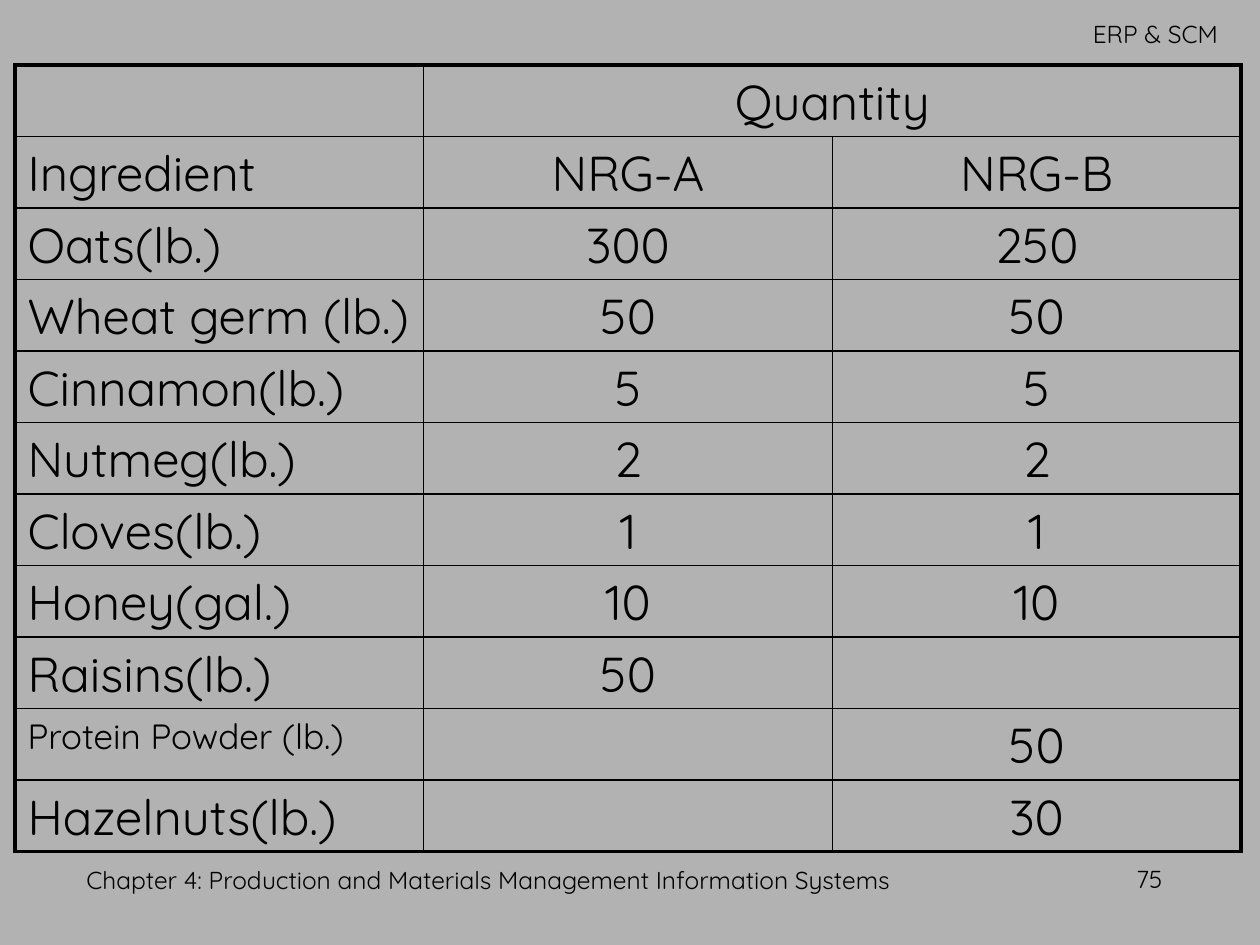
from pptx import Presentation
from pptx.dml.color import RGBColor
from pptx.enum.text import PP_ALIGN as Align
from pptx.oxml.ns import qn
from pptx.util import Pt
from lxml.etree import SubElement

PX = 914400 / 126
FONT = "Quicksand"
INK = "000000"
BACK = "B2B2B2"
THIN, THICK = 1, 2.25

ROWS = [
    ("", "Quantity", ""),
    ("Ingredient", "NRG-A", "NRG-B"),
    ("Oats(lb.)", "300", "250"),
    ("Wheat germ (lb.)", "50", "50"),
    ("Cinnamon(lb.)", "5", "5"),
    ("Nutmeg(lb.)", "2", "2"),
    ("Cloves(lb.)", "1", "1"),
    ("Honey(gal.)", "10", "10"),
    ("Raisins(lb.)", "50", ""),
    ("Protein Powder (lb.)", "", "50"),
    ("Hazelnuts(lb.)", "", "30"),
]
SMALL_ROW = "Protein Powder (lb.)"


def px(*sizes):
    return [round(size * PX) for size in sizes]


def color(code):
    return RGBColor.from_string(code)


def write(frame, text, size, align):
    frame.text = text
    para = frame.paragraphs[0]
    para.alignment = align
    for run in para.runs:
        run.font.name = FONT
        run.font.size = Pt(size)
        run.font.color.rgb = color(INK)


def add_label(slide, box, text, align=Align.LEFT, wrap=False):
    frame = slide.shapes.add_textbox(*px(*box)).text_frame
    frame.word_wrap = wrap
    write(frame, text, 14, align)


def set_edges(cell, widths):
    """Draw the left, right, top and bottom borders, in that order."""
    props = cell._tc.get_or_add_tcPr()
    for side, width in zip("LRTB", widths):
        line = SubElement(props, qn(f"a:ln{side}"), w=str(Pt(width)))
        fill = SubElement(line, qn("a:solidFill"))
        SubElement(fill, qn("a:srgbClr"), val=INK)


def add_recipe(slide, box):
    last_row, last_col = len(ROWS) - 1, len(ROWS[0]) - 1
    table = slide.shapes.add_table(len(ROWS), len(ROWS[0]), *px(*box)).table
    table.first_row = table.horz_banding = False
    table.cell(0, 1).merge(table.cell(0, last_col))
    for r, row in enumerate(ROWS):
        for c, text in enumerate(row):
            cell = table.cell(r, c)
            right = c == last_col or cell.is_merge_origin
            outer = (c == 0, right, r == 0, r == last_row)
            set_edges(cell, [THICK if edge else THIN for edge in outer])
            cell.fill.background()
            write(cell.text_frame, text, 20 if text == SMALL_ROW else 28,
                  Align.CENTER if c else Align.LEFT)


def main():
    deck = Presentation()
    deck.slide_width, deck.slide_height = px(1260, 945)
    slide = deck.slides.add_slide(deck.slide_layouts[6])
    slide.background.fill.solid()
    slide.background.fill.fore_color.rgb = color(BACK)

    add_label(slide, (1124, 858, 57, 42), "75")
    add_label(slide, (1075, 13, 161, 42), "ERP & SCM", Align.CENTER)
    add_label(slide, (74, 859, 893, 63),
              "Chapter 4: Production and Materials Management "
              "Information Systems", wrap=True)
    add_recipe(slide, (15, 65, 1226, 785))
    deck.save("out.pptx")


if __name__ == "__main__":
    main()
